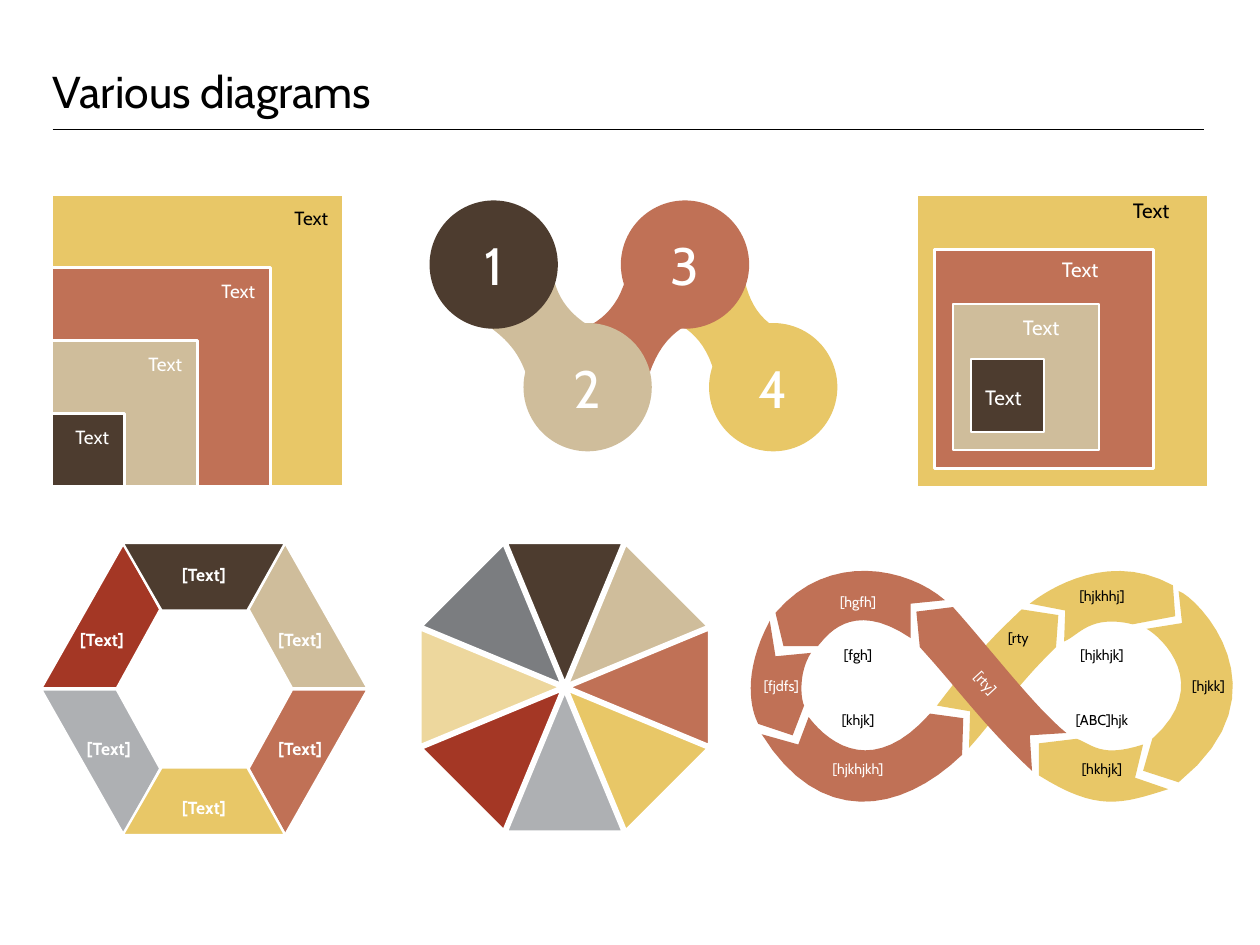
from math import cos, pi, sin, tan

from pptx import Presentation
from pptx.dml.color import RGBColor
from pptx.enum.shapes import MSO_CONNECTOR as CONNECTOR, MSO_SHAPE as SHAPE
from pptx.enum.text import MSO_ANCHOR as ANCHOR, PP_ALIGN as ALIGN
from pptx.oxml.ns import qn
from pptx.util import Inches, Pt
from lxml.etree import SubElement

DARK, BEIGE, CLAY, YELLOW = "4D3C2F", "CFBD9B", "C07156", "E8C767"
RED, SILVER, GREY, CREAM = "A43725", "AEB0B3", "7B7D80", "EDD79D"
WHITE, BLACK = "FFFFFF", "000000"
NESTED_COLOURS = [YELLOW, CLAY, BEIGE, DARK]


def rgb(colour):
    """Turn a hex string into a colour."""
    return RGBColor.from_string(colour)


def paint(shape, fill, line_width=0):
    """Give a shape a flat fill and an optional white outline."""
    shape.shadow.inherit = False
    shape.fill.solid()
    shape.fill.fore_color.rgb = rgb(fill)
    if line_width:
        shape.line.color.rgb = rgb(WHITE)
        shape.line.width = Pt(line_width)
    else:
        shape.line.fill.background()
    return shape


def write(shape, text, size, colour, align=ALIGN.LEFT, bold=False, **frame_format):
    """Write one line of text into a shape."""
    frame = shape.text_frame
    for key, value in frame_format.items():
        setattr(frame, key, value)
    paragraph = frame.paragraphs[0]
    paragraph.alignment = align
    run = paragraph.add_run()
    run.text = text
    for key, value in {"size": Pt(size), "name": "Cabin", "bold": bold}.items():
        setattr(run.font, key, value)
    run.font.color.rgb = rgb(colour)
    return paragraph


def label(slide, box, text, size, colour, inset=0, rotation=0, **text_format):
    """Add a text box with equal insets."""
    text_box = slide.shapes.add_textbox(*map(Inches, box))
    text_box.rotation = rotation
    sides = ("left", "top", "right", "bottom")
    frame_format = {"word_wrap": True, **{f"margin_{side}": Inches(inset) for side in sides}}
    return write(text_box, text, size, colour, **{**frame_format, **text_format})


def flatten(outline, steps=16):
    """Turn points and cubic curves (six numbers) into plain points."""
    points = []
    for part in outline:
        if len(part) == 2:
            points.append(part)
            continue
        knots = [points[-1], part[:2], part[2:4], part[4:]]
        for step in range(1, steps + 1):
            t = step / steps
            weights = ((1 - t) ** 3, 3 * t * (1 - t) ** 2, 3 * t * t * (1 - t), t ** 3)
            points.append(tuple(sum(w * k[axis] for w, k in zip(weights, knots)) for axis in (0, 1)))
    return points


def outline_shape(slide, left, top, outline, fill, line_width=0):
    """Draw a closed outline given relative to a corner."""
    points = [(Inches(left + x), Inches(top + y)) for x, y in flatten(outline)]
    builder = slide.shapes.build_freeform(*points[0])
    builder.add_line_segments(points[1:], close=True)
    return paint(builder.convert_to_shape(), fill, line_width)


def heading(slide, left, top, width, height):
    """Place the title and the rule below it."""
    title = label(slide, (left, top, width, height), "Various diagrams", 28, BLACK,
                  vertical_anchor=ANCHOR.BOTTOM)
    title.line_spacing = Pt(32)
    rule_top = Inches(top + height + 0.1)
    rule = slide.shapes.add_connector(CONNECTOR.STRAIGHT, Inches(left), rule_top,
                                      Inches(left + width), rule_top)
    rule.line.color.rgb = rgb(BLACK)
    rule.line.width = Pt(0.75)
    SubElement(rule._element.spPr, qn("a:effectLst"))


def nested_squares(slide, left, top, size, shift, line_width):
    """Stack four shrinking squares, each moved by a share of the size."""
    for level, colour in enumerate(NESTED_COLOURS):
        side = size * (4 - level) / 4
        x, y = (start + size * share * level for start, share in zip((left, top), shift))
        square = slide.shapes.add_shape(SHAPE.RECTANGLE, *map(Inches, (x, y, side, side)))
        paint(square, colour, line_width)


def corner_squares(slide, left, top, size):
    """Place squares that share the bottom left corner."""
    nested_squares(slide, left, top, size, (0, 1 / 4), 2)
    for level in range(4):
        right, y = left + size * (4 - level) / 4, top + size * level / 4
        label(slide, (right - 0.55, y, 0.55, 0.4), "Text", 12, WHITE if level else BLACK, 0.12)


def inner_squares(slide, left, top, size):
    """Place squares that lie inside one another."""
    nested_squares(slide, left, top, size, (1 / 16, 3 / 16), 1.5)
    for level, (x, y) in enumerate([(1.89, 0.03), (1.27, 0.54), (0.93, 1.05), (0.6, 1.66)]):
        label(slide, (left + x, top + y, 0.39, 0.2), "Text", 13, WHITE if level else BLACK)


def number_chain(slide, left, top, diameter):
    """Place four numbered circles joined by curved links."""
    def circle(number, x, y, colour):
        disc = slide.shapes.add_shape(SHAPE.OVAL, *map(Inches, (left + x, top + y, diameter, diameter)))
        write(paint(disc, colour), number, 33, WHITE, ALIGN.CENTER, vertical_anchor=ANCHOR.MIDDLE)

    outline_shape(slide, left, top, [(1.98, 0.98), (2.72, 0.53), (2.76, 0.78, 2.81, 1.08, 3.21, 1.19),
                                     (2.54, 1.77), (2.47, 1.24, 2.3, 1.12, 1.98, 0.98)], YELLOW)
    outline_shape(slide, left, top, [(1.2, 1.17), (1.51, 1.08, 1.71, 0.92, 1.76, 0.43), (2.45, 0.99),
                                     (2.13, 1.12, 1.96, 1.24, 1.85, 1.77)], CLAY)
    for number, x, y, colour in [("2", 0.82, 1.07, BEIGE), ("3", 1.67, 0, CLAY), ("4", 2.44, 1.07, YELLOW)]:
        circle(number, x, y, colour)
    outline_shape(slide, left, top, [(0.9, 1.74), (0.83, 1.38, 0.73, 1.19, 0.28, 0.96), (1.05, 0.48),
                                     (1.08, 0.79, 1.16, 1.02, 1.6, 1.2)], BEIGE)
    circle("1", 0, 0, DARK)


def hexagon_ring(slide, left, top, width, height):
    """Place a ring of six pieces, mirrored from one side and one cap."""
    side = [(0, 1.27), (0.66, 1.27), (1.04, 0.58), (0.72, 0)]
    cap = [(0.71, 0), (1.05, 0.59), (1.8, 0.59), (2.13, 0)]
    pieces = [(side, 0, 0, RED), (side, 1, 0, BEIGE), (side, 0, 1, SILVER), (side, 1, 1, CLAY),
              (cap, 0, 0, DARK), (cap, 0, 1, YELLOW)]
    for piece, flip_x, flip_y, colour in pieces:
        outline = [(width - x if flip_x else x, height - y if flip_y else y) for x, y in piece]
        outline_shape(slide, left, top, outline, colour, 1.5)
    for x, y in [(1.42, 0.18), (2.26, 0.75), (2.26, 1.7), (1.42, 2.22), (0.59, 1.7), (0.53, 0.75)]:
        label(slide, (left + x - 0.42, top + y, 0.84, 0.1), "[Text]", 11, WHITE,
              align=ALIGN.CENTER, bold=True)


def octagon_wheel(slide, left, top, size, gap=0.04):
    """Place eight wedges pushed out from the centre."""
    radius = size / 2
    half_edge = (radius - gap) * tan(pi / 8)
    for turn, colour in enumerate([DARK, BEIGE, CLAY, YELLOW, SILVER, RED, CREAM, GREY]):
        angle = turn * pi / 4
        wedge = [(0, gap), (half_edge, radius), (-half_edge, radius)]
        outline = [(radius + across * cos(angle) + out * sin(angle),
                    radius + across * sin(angle) - out * cos(angle)) for across, out in wedge]
        outline_shape(slide, left, top, outline, colour, 1.5)


def infinity_loop(slide, left, top):
    """Place the arrow bands of a figure eight and their labels."""
    bands = [
        (YELLOW, [(1.68, 1.26), (2.07, 0.75, 2.17, 0.66, 2.42, 0.42), (2.74, 0.47), (2.72, 0.75),
                  (2.35, 1.11, 2.22, 1.34, 1.96, 1.63), (1.97, 1.31)]),
        (YELLOW, [(2.57, 1.59), (2.9, 1.55), (3.04, 1.6, 3.11, 1.72, 3.48, 1.6), (3.41, 1.89),
                  (3.7, 1.99), (3.29, 2.12, 3.08, 2.19, 2.57, 1.87)]),
        (YELLOW, [(2.49, 0.37), (2.52, 0.35, 3.11, -0.14, 3.74, 0.21), (3.76, 0.48), (3.39, 0.55),
                  (3.01, 0.46, 2.92, 0.65, 2.79, 0.7), (2.8, 0.43)]),
        (YELLOW, [(3.51, 0.59), (3.82, 0.54), (3.79, 0.26), (3.95, 0.31, 4.77, 1.14, 3.79, 1.93),
                  (3.48, 1.83), (3.56, 1.55), (4.09, 1.08, 3.64, 0.66, 3.51, 0.59)]),
        (CLAY, [(0.27, 0.45), (0.34, 0.74), (0.64, 0.74), (0.7, 0.68, 0.92, 0.31, 1.45, 0.67),
                (1.45, 0.37), (1.75, 0.34), (1.43, 0.06, 0.74, -0.1, 0.27, 0.45)]),
        (CLAY, [(0.22, 0.52), (0.27, 0.83), (0.58, 0.8), (0.47, 0.97, 0.49, 1.2, 0.52, 1.26),
                (0.42, 1.52), (0.12, 1.42), (0.06, 1.31, -0.03, 0.99, 0.22, 0.52)]),
        (CLAY, [(0.56, 1.36), (0.47, 1.6), (0.15, 1.51), (0.65, 2.32, 1.36, 2.21, 1.9, 1.69),
                (1.91, 1.37), (1.62, 1.33), (1.14, 1.87, 0.76, 1.62, 0.56, 1.36)]),
        (CLAY, [(1.5, 0.44), (1.82, 0.4), (2.15, 0.77, 2.53, 1.27, 2.81, 1.5), (2.49, 1.52),
                (2.51, 1.83), (2.1, 1.45, 1.86, 1.11, 1.53, 0.75)]),
    ]
    for colour, outline in bands:
        outline_shape(slide, left, top, outline, colour)
    captions = [("[fgh]", 0.69, 0.74, BLACK), ("[khjk]", 0.69, 1.31, BLACK), ("[hjkhjk]", 2.82, 0.74, BLACK),
                ("[ABC]hjk", 2.82, 1.31, BLACK), ("[hgfh]", 0.69, 0.28, WHITE), ("[fjdfs]", 0.02, 1.01, WHITE),
                ("[hjkhjkh]", 0.69, 1.74, WHITE), ("[hjkhhj]", 2.82, 0.23, BLACK),
                ("[hkhjk]", 2.82, 1.74, BLACK), ("[hjkk]", 3.75, 1.01, BLACK),
                ("[rty", 2.09, 0.59, BLACK), ("[rty]", 1.82, 0.99, WHITE)]
    for text, x, y, colour in captions:
        label(slide, (left + x, top + y, 0.6, 0.11), text, 9, colour, align=ALIGN.CENTER,
              word_wrap=False, rotation=47.3 if text == "[rty]" else 0)


def main():
    """Build the slide and save it."""
    deck = Presentation()
    deck.slide_width, deck.slide_height = Inches(11), Inches(8.25)
    slide = deck.slides.add_slide(deck.slide_layouts[6])
    heading(slide, 0.46, 0, 10.05, 1.03)
    corner_squares(slide, 0.45, 1.7, 2.55)
    inner_squares(slide, 8, 1.7, 2.55)
    hexagon_ring(slide, 0.36, 4.74, 2.85, 2.55)
    octagon_wheel(slide, 3.67, 4.74, 2.52)
    number_chain(slide, 3.75, 1.75, 1.12)
    infinity_loop(slide, 6.5, 4.9)
    deck.save("out.pptx")


if __name__ == "__main__":
    main()
